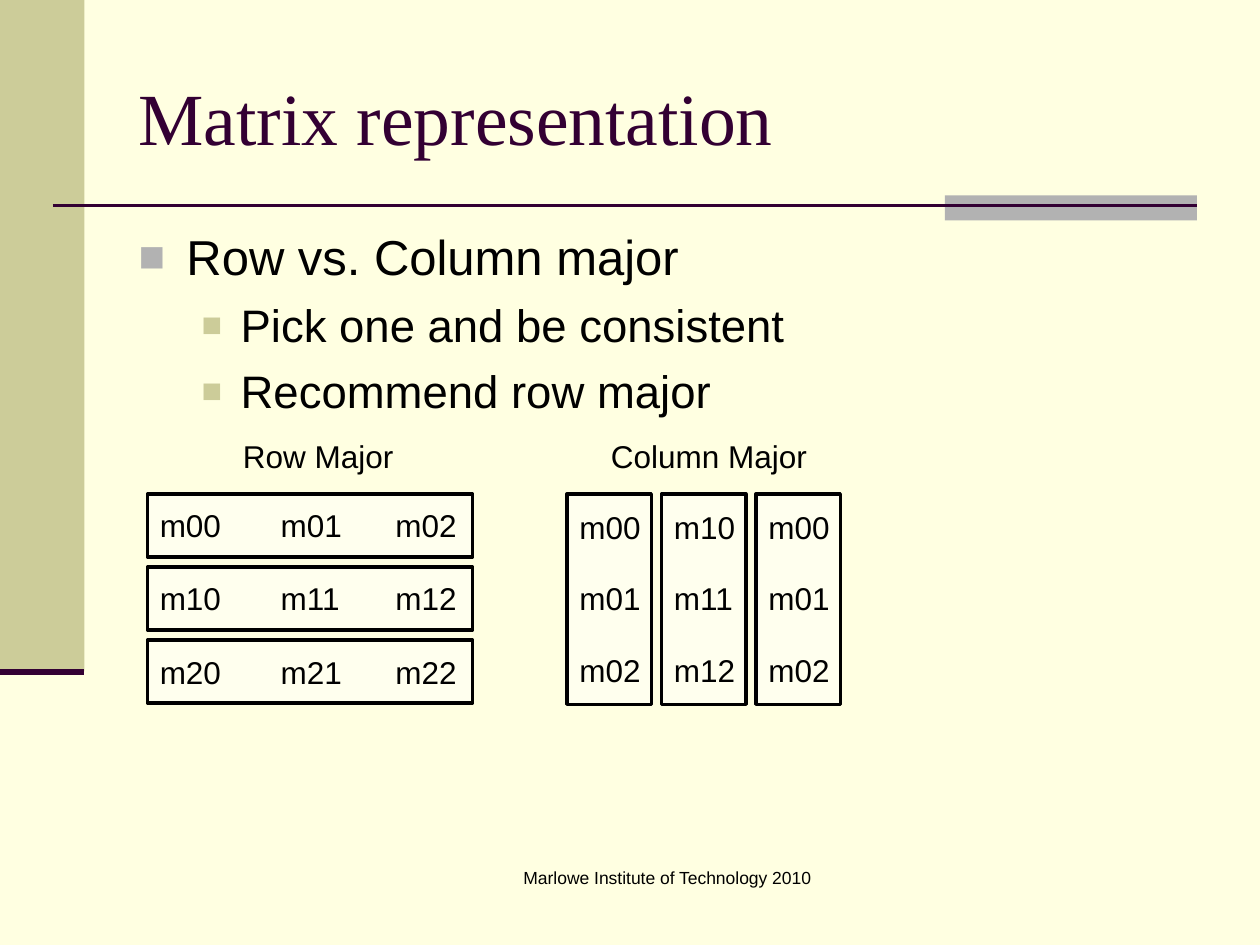
from lxml.etree import SubElement
from pptx import Presentation
from pptx.dml.color import RGBColor
from pptx.enum.shapes import MSO_CONNECTOR, MSO_SHAPE
from pptx.enum.text import MSO_ANCHOR, MSO_AUTO_SIZE, PP_ALIGN
from pptx.oxml.ns import qn
from pptx.util import Inches, Pt

BLACK, PURPLE, OLIVE, GRAY = "000000", "330033", "CCCC99", "B2B2B2"
CREAM, PALE = "FFFFE1", "FFFFEE"


def color(value):
    return RGBColor.from_string(value)


def write(paragraph, text, size=18, font="Arial", ink=BLACK, align=PP_ALIGN.LEFT):
    paragraph.alignment = align
    run = paragraph.add_run()
    run.text = text
    run.font.size = Pt(size)
    run.font.name = font
    run.font.color.rgb = color(ink)


presentation = Presentation()
presentation.slide_width, presentation.slide_height = Inches(10), Inches(7.5)
slide = presentation.slides.add_slide(presentation.slide_layouts[1])
slide.background.fill.solid()
slide.background.fill.fore_color.rgb = color(CREAM)

# Side band, accent block, then the matrix row and column frames
row_step, column_step = 0.58, 0.75
rectangles = [(0, 0, 0.67, 5.33, OLIVE, None), (7.5, 1.55, 2, 0.2, GRAY, None)]
for index in range(3):
    rectangles.append((1.17, 3.92 + index * row_step, 2.58, 0.5, PALE, BLACK))
    rectangles.append((4.5 + index * column_step, 3.92, 0.67, 1.67, PALE, BLACK))
for left, top, width, height, fill, outline in rectangles:
    shape = slide.shapes.add_shape(MSO_SHAPE.RECTANGLE, Inches(left), Inches(top),
                                   Inches(width), Inches(height))
    shape.shadow.inherit = False
    shape.fill.solid()
    shape.fill.fore_color.rgb = color(fill)
    if outline:
        shape.line.color.rgb = color(outline)
        shape.line.width = Pt(2)
    else:
        shape.line.fill.background()

# Rules under the title and the side band
for start, end, y, weight in [(0.42, 9.5, 1.63, 1.5), (0, 0.67, 5.33, 3.5)]:
    rule = slide.shapes.add_connector(MSO_CONNECTOR.STRAIGHT, Inches(start), Inches(y),
                                      Inches(end), Inches(y))
    rule.line.color.rgb = color(PURPLE)
    rule.line.width = Pt(weight)
    SubElement(rule._element.spPr, qn("a:effectLst"))

title = slide.shapes.title
title.left, title.top, title.width, title.height = map(Inches, (1, 0.3, 8.5, 1.25))
title.text_frame.vertical_anchor = MSO_ANCHOR.MIDDLE
write(title.text_frame.paragraphs[0], "Matrix representation",
      size=42, font="Times New Roman", ink=PURPLE)

body = slide.placeholders[1]
body.left, body.top, body.width, body.height = map(Inches, (1, 1.75, 8.5, 4.95))
# level: text size, space before, left margin, indent, bullet colour, bullet percent
levels = [(28, 7, 0.38, -0.38, GRAY, 90), (26, 6.5, 0.81, -0.31, OLIVE, 75)]
points = [("Row vs. Column major", 0), ("Pick one and be consistent", 1),
          ("Recommend row major", 1)]
for index, (text, level) in enumerate(points):
    size, space, margin, indent, bullet_color, percent = levels[level]
    frame = body.text_frame
    paragraph = frame.add_paragraph() if index else frame.paragraphs[0]
    paragraph.level = level
    paragraph.space_before = Pt(space)
    write(paragraph, text, size=size)
    properties = paragraph._p.get_or_add_pPr()
    properties.set("marL", str(Inches(margin)))
    properties.set("indent", str(Inches(indent)))
    SubElement(SubElement(properties, qn("a:buClr")), qn("a:srgbClr"), val=bullet_color)
    SubElement(properties, qn("a:buSzPct"), val=str(percent * 1000))
    SubElement(properties, qn("a:buFont"), typeface="Arial")
    SubElement(properties, qn("a:buChar"), char="■")

# Headings, matrix entries and footer
labels = [("Row Major", 1.83, 3.42, 2.17, 0.4), ("Column Major", 4.75, 3.42, 2.17, 0.4)]
for row in range(3):
    entries = "\t".join(f"m{row}{column}" for column in range(3))
    labels.append((entries, 1.17, 3.97 + row * row_step, 3, 0.4))
for column, major in enumerate((0, 1, 0)):
    for row in range(3):
        labels.append((f"m{major}{row}", 4.5 + column * column_step,
                       3.98 + row * 0.57, 0.75, 0.7))
for text, left, top, width, height in labels:
    box = slide.shapes.add_textbox(Inches(left), Inches(top), Inches(width), Inches(height))
    box.text_frame.word_wrap = True
    box.text_frame.auto_size = MSO_AUTO_SIZE.NONE
    paragraph = box.text_frame.paragraphs[0]
    write(paragraph, text)
    if "\t" in text:
        tabs = SubElement(paragraph._p.get_or_add_pPr(), qn("a:tabLst"))
        for position in (0.96, 1.87):
            SubElement(tabs, qn("a:tab"), pos=str(Inches(position)), algn="l")

footer = slide.shapes.add_textbox(Inches(3.67), Inches(6.83), Inches(3.25), Inches(0.5))
footer.text_frame.word_wrap = True
write(footer.text_frame.paragraphs[0], "Marlowe Institute of Technology 2010",
      size=10, align=PP_ALIGN.CENTER)

presentation.save("out.pptx")
